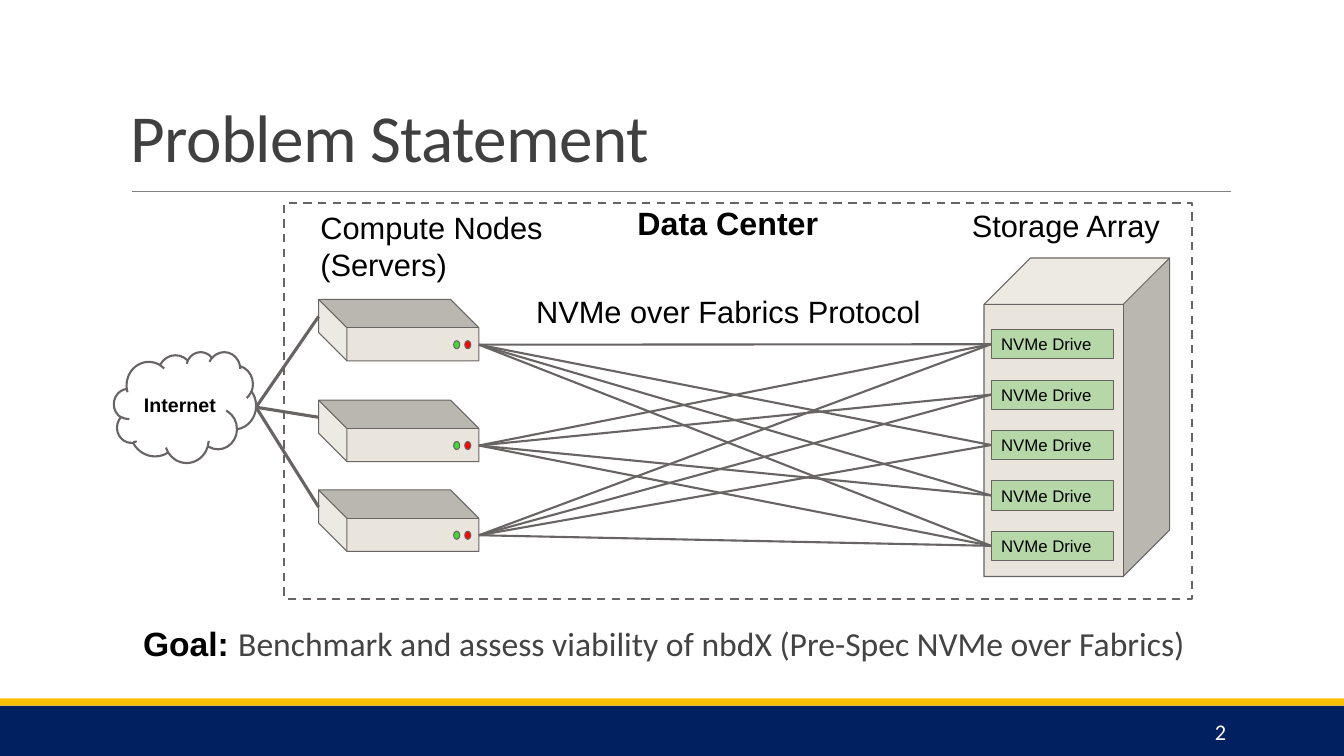
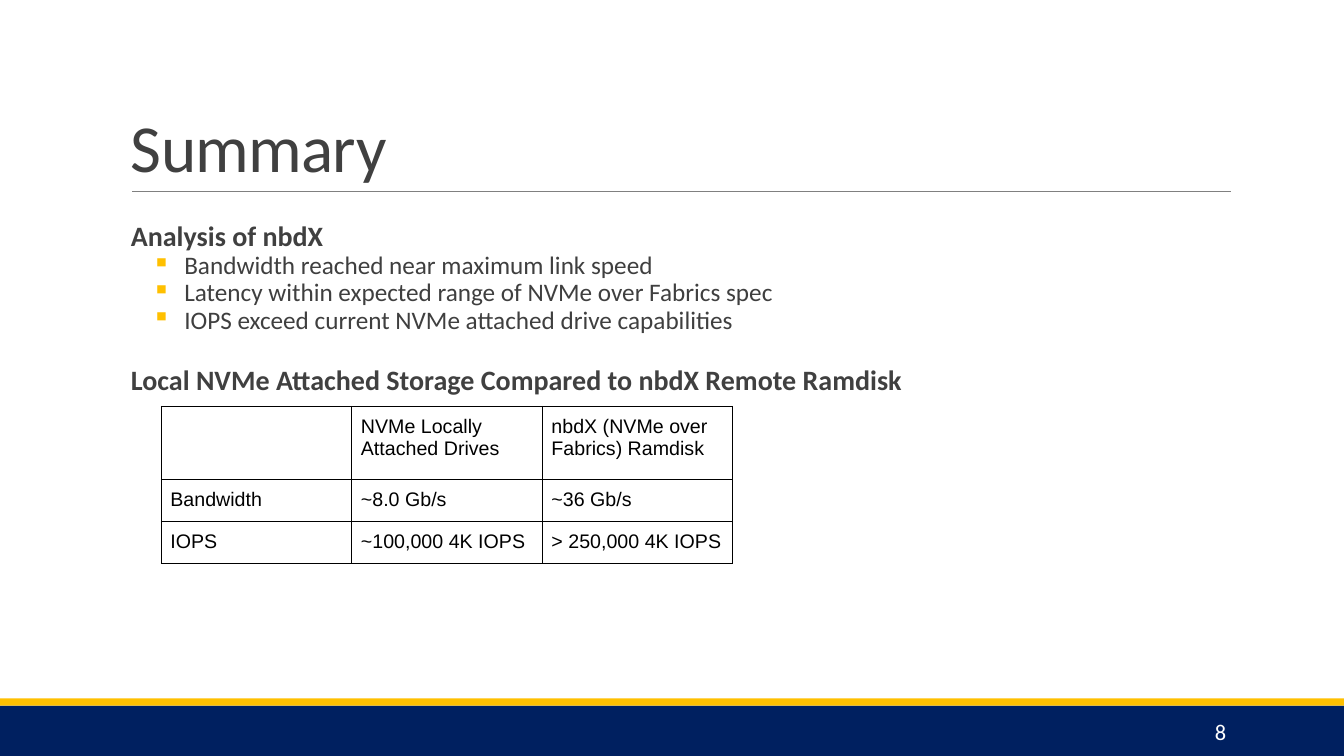
"""Build two slides on NVMe over Fabrics: the problem statement and the summary."""
from collections import namedtuple
from dataclasses import dataclass

from lxml.etree import SubElement
from pptx import Presentation
from pptx.dml.color import RGBColor
from pptx.enum.dml import MSO_LINE
from pptx.enum.shapes import MSO_CONNECTOR, MSO_SHAPE
from pptx.enum.text import MSO_ANCHOR, PP_ALIGN
from pptx.oxml.ns import qn
from pptx.util import Inches, Pt

Face = namedtuple("Face", "font size color bold")


@dataclass(frozen=True)
class Theme:
    navy: str = "002060"
    gold: str = "FFC000"
    rule: str = "808080"
    outline: str = "696464"
    casing: str = "E9E5DC"
    drive: str = "B6D7A8"
    red: str = "FF0000"
    green: str = "42D934"
    black: str = "000000"
    title: Face = Face("Calibri", 48, "404040", False)
    number: Face = Face("Calibri", 16, "FFFFFF", False)
    label: Face = Face("Arial", 22, "000000", False)
    center_label: Face = Face("Arial", 23, "000000", True)
    drive_label: Face = Face("Arial", 12, "000000", False)
    cloud_label: Face = Face("Arial", 14, "000000", True)
    goal_lead: Face = Face("Arial", 24, "000000", True)
    goal: Face = Face("Calibri", 24, "434343", False)
    heading: Face = Face("Calibri", 20, "404040", True)
    bullet: Face = Face("Calibri", 18, "3F3F3F", False)
    cell: Face = Face("Arial", 14, "000000", False)


def style(shape, fill=None, line=None, width=0.75):
    if line:
        shape.line.color.rgb = RGBColor.from_string(line)
        shape.line.width = Pt(width)
    else:
        shape.line.fill.background()
    if fill:
        shape.fill.solid()
        shape.fill.fore_color.rgb = RGBColor.from_string(fill)
    elif hasattr(shape, "fill"):
        shape.fill.background()
    SubElement(shape.element.spPr, qn("a:effectLst"))


def write(frame, *lines, align=PP_ALIGN.LEFT, anchor=MSO_ANCHOR.TOP, inset=0.1, spacing=1.0):
    frame.word_wrap = True
    frame.vertical_anchor = anchor
    frame.margin_left = frame.margin_right = Inches(0.1)
    frame.margin_top = frame.margin_bottom = Inches(inset)
    for index, line in enumerate(lines):
        para = frame.add_paragraph() if index else frame.paragraphs[0]
        para.alignment = align
        para.line_spacing = spacing
        for text, face in line:
            span = para.add_run()
            span.text = text
            span.font.name = face.font
            span.font.size = Pt(face.size)
            span.font.bold = face.bold
            span.font.color.rgb = RGBColor.from_string(face.color)


theme = Theme()
deck = Presentation()
deck.slide_width, deck.slide_height = Inches(13.33), Inches(7.5)
pages = []

for title, title_top, number in [("Problem Statement", 0.21, "2"), ("Summary", 0.31, "8")]:
    page = deck.slides.add_slide(deck.slide_layouts[6])
    pages.append(page)
    for top, height, color in [(7, 0.5, theme.navy), (6.93, 0.07, theme.gold)]:
        band = page.shapes.add_shape(
            MSO_SHAPE.RECTANGLE, 0, Inches(top), deck.slide_width, Inches(height))
        style(band, fill=color)
    rule = page.shapes.add_connector(
        MSO_CONNECTOR.STRAIGHT, Inches(1.31), Inches(1.9), Inches(12.21), Inches(1.9))
    style(rule, line=theme.rule, width=0.5)
    box = page.shapes.add_textbox(Inches(1.2), Inches(title_top), Inches(11), Inches(1.59))
    write(box.text_frame, [(title, theme.title)],
          anchor=MSO_ANCHOR.BOTTOM, inset=0.05, spacing=0.85)
    box.text_frame.paragraphs[0].runs[0].font.element.set("spc", "-50") if hasattr(
        box.text_frame.paragraphs[0].runs[0].font, "element"
    ) else box.text_frame.paragraphs[0].runs[0]._r.get_or_add_rPr().set("spc", "-50")
    box = page.shapes.add_textbox(Inches(10.83), Inches(7.06), Inches(1.43), Inches(0.4))
    write(box.text_frame, [(number, theme.number)],
          align=PP_ALIGN.RIGHT, anchor=MSO_ANCHOR.MIDDLE, inset=0.05)

problem, summary = pages

center = problem.shapes.add_shape(
    MSO_SHAPE.RECTANGLE, Inches(2.82), Inches(2.01), Inches(9), Inches(3.93))
style(center, line=theme.outline, width=1.5)
center.line.dash_style = MSO_LINE.DASH

array = problem.shapes.add_shape(
    MSO_SHAPE.CUBE, Inches(9.76), Inches(2.56), Inches(1.84), Inches(3.16))
array.adjustments[0] = 0.25
style(array, fill=theme.casing, line=theme.outline)

drive_left, drive_height = 9.83, 0.29
drive_tops = [3.27 + 0.5 * index for index in range(5)]
for top in drive_tops:
    drive = problem.shapes.add_shape(
        MSO_SHAPE.FLOWCHART_PROCESS, Inches(drive_left), Inches(top),
        Inches(1.21), Inches(drive_height))
    style(drive, fill=theme.drive, line=theme.outline)
    write(drive.text_frame, [("NVMe Drive", theme.drive_label)], anchor=MSO_ANCHOR.MIDDLE)

node_middles = [3.28, 4.28, 5.17]
node_links = [(0, 2, 3, 4), (0, 1, 3, 4), (0, 1, 2, 4)]
port_offset = 0.14
links = []
for middle, drives in zip(node_middles, node_links):
    node = problem.shapes.add_shape(
        MSO_SHAPE.CUBE, Inches(3.65), Inches(middle - 0.8), Inches(0.61), Inches(1.59))
    node.rotation = 270
    node.adjustments[0] = 0.461
    style(node, fill=theme.casing, line=theme.outline)
    for left, color in [(4.5, theme.green), (4.61, theme.red)]:
        light = problem.shapes.add_shape(
            MSO_SHAPE.OVAL, Inches(left), Inches(middle + 0.1), Inches(0.06), Inches(0.08))
        style(light, fill=color, line=theme.outline)
    for index in drives:
        drive_middle = drive_tops[index] + drive_height / 2
        links.append((4.75, middle + port_offset, drive_left, drive_middle, 1.5))
    links.append((2.54, 4.04, 3.16, middle - port_offset, 2.25))

cloud = problem.shapes.add_shape(
    MSO_SHAPE.CLOUD, Inches(1.13), Inches(3.49), Inches(1.41), Inches(1.1))
style(cloud, line=theme.outline, width=1.5)
write(cloud.text_frame, [("Internet", theme.cloud_label)],
      align=PP_ALIGN.CENTER, anchor=MSO_ANCHOR.MIDDLE)

for *ends, width in links:
    link = problem.shapes.add_connector(
        MSO_CONNECTOR.STRAIGHT, *[Inches(value) for value in ends])
    style(link, line=theme.outline, width=width)

goal = [("Goal: ", theme.goal_lead),
        ("Benchmark and assess viability of nbdX (Pre-Spec NVMe over Fabrics)", theme.goal)]
heading = [("Local NVMe Attached Storage Compared to nbdX Remote Ramdisk", theme.heading)]
for page, place, line, align, spacing in [
    (problem, (9.54, 1.95, 2.19, 0.41), [("Storage Array", theme.label)], PP_ALIGN.LEFT, 1.0),
    (problem, (3.08, 1.97, 2.6, 0.48), [("Compute Nodes (Servers)", theme.label)],
     PP_ALIGN.LEFT, 1.0),
    (problem, (5.22, 2.8, 4.27, 0.39), [("NVMe over Fabrics Protocol", theme.label)],
     PP_ALIGN.LEFT, 1.0),
    (problem, (2.68, 1.92, 9.08, 0.51), [("Data Center", theme.center_label)],
     PP_ALIGN.CENTER, 1.0),
    (problem, (1.32, 6.08, 10.91, 0.78), goal, PP_ALIGN.LEFT, 1.0),
    (summary, (1.2, 3.53, 11, 0.5), heading, PP_ALIGN.LEFT, 0.9),
]:
    box = page.shapes.add_textbox(*[Inches(value) for value in place])
    write(box.text_frame, line, align=align, spacing=spacing)

findings = [
    "Bandwidth reached near maximum link speed",
    "Latency within expected range of NVMe over Fabrics spec",
    "IOPS exceed current NVMe attached drive capabilities",
]
box = summary.shapes.add_textbox(Inches(1.2), Inches(2.11), Inches(11), Inches(1.47))
write(box.text_frame, [("Analysis of nbdX", theme.heading)],
      *[[(finding, theme.bullet)] for finding in findings], spacing=0.9)
for para in box.text_frame.paragraphs[1:]:
    properties = para._p.get_or_add_pPr()
    properties.set("marL", str(Inches(0.53)))
    properties.set("indent", str(-Inches(0.32)))
    bullet_color = SubElement(properties, qn("a:buClr"))
    SubElement(bullet_color, qn("a:srgbClr"), val=theme.gold)
    SubElement(properties, qn("a:buChar"), char="▪")

rows = [
    ("", "NVMe Locally Attached Drives", "nbdX (NVMe over Fabrics) Ramdisk"),
    ("Bandwidth", "~8.0 Gb/s", "~36 Gb/s"),
    ("IOPS", "~100,000 4K IOPS", "> 250,000 4K IOPS"),
]
row_heights = [0.73, 0.39, 0.39]
table = summary.shapes.add_table(
    3, 3, Inches(1.6), Inches(4.03), Inches(5.67), Inches(sum(row_heights))).table
table.first_row = table.horz_banding = False
for column in table.columns:
    column.width = Inches(1.89)
for row, height, texts in zip(table.rows, row_heights, rows):
    row.height = Inches(height)
    for cell, text in zip(row.cells, texts):
        cell.margin_left = cell.margin_right = Inches(0.09)
        cell.margin_top = cell.margin_bottom = Inches(0.09)
        if text:
            write(cell.text_frame, [(text, theme.cell)])
        for side in ("a:lnL", "a:lnR", "a:lnT", "a:lnB"):
            border = SubElement(cell._tc.get_or_add_tcPr(), qn(side), w=str(Pt(0.75)))
            border_fill = SubElement(border, qn("a:solidFill"))
            SubElement(border_fill, qn("a:srgbClr"), val=theme.black)
        cell.fill.background()

deck.save("out.pptx")
